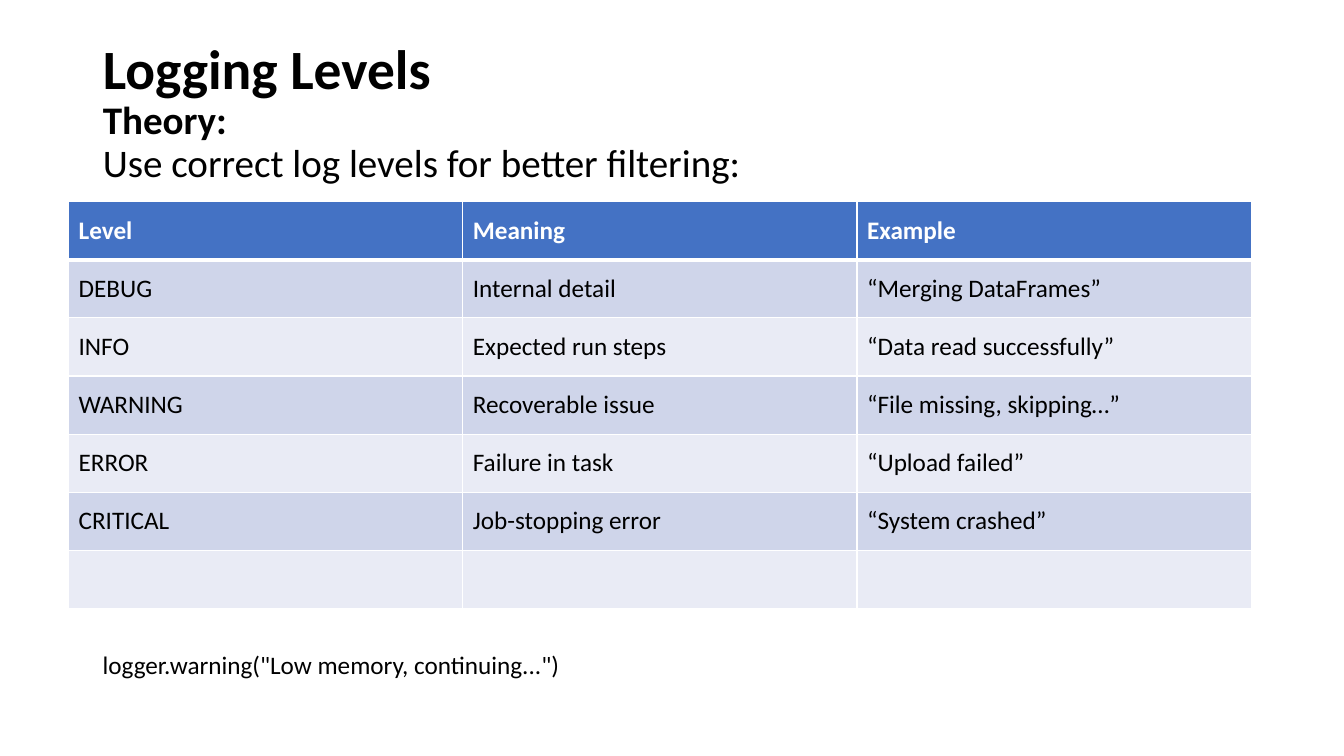
from copy import deepcopy
from dataclasses import dataclass

from lxml.etree import SubElement
from pptx import Presentation
from pptx.dml.color import RGBColor
from pptx.enum.text import MSO_ANCHOR, MSO_AUTO_SIZE, PP_ALIGN
from pptx.oxml.ns import qn
from pptx.util import Inches, Pt


@dataclass(frozen=True)
class Theme:
    """Colours, font and type sizes of the slide."""
    font: str = "Calibri"
    ink: str = "000000"
    paper: str = "FFFFFF"
    header: str = "4472C4"
    bands: tuple = ("CFD5EA", "E9EBF5")
    title_size: float = 39.6
    subtitle_size: float = 27.9
    body_size: float = 18
    rule: float = 1
    header_rule: float = 3


THEME = Theme()

TITLE_LINES = [
    ("Logging Levels", THEME.title_size, True),
    ("Theory:", THEME.subtitle_size, True),
    ("Use correct log levels for better filtering:", THEME.subtitle_size, False),
]

LEVEL_ROWS = [
    ("Level", "Meaning", "Example"),
    ("DEBUG", "Internal detail", "“Merging DataFrames”"),
    ("INFO", "Expected run steps", "“Data read successfully”"),
    ("WARNING", "Recoverable issue", "“File missing, skipping…”"),
    ("ERROR", "Failure in task", "“Upload failed”"),
    ("CRITICAL", "Job-stopping error", "“System crashed”"),
    ("", "", ""),
]


def style_font(font, size, colour, bold=False):
    """Apply the theme font with a size, colour and weight."""
    font.name = THEME.font
    font.size = Pt(size)
    font.bold = bold
    font.color.rgb = RGBColor.from_string(colour)


def fill_title(title):
    """Write the heading lines into the title placeholder."""
    title.left, title.top = Inches(0.92), Inches(0.4)
    title.width, title.height = Inches(11.5), Inches(1.45)
    frame = title.text_frame
    frame.word_wrap = True
    frame.auto_size = MSO_AUTO_SIZE.NONE
    frame.vertical_anchor = MSO_ANCHOR.MIDDLE
    para = frame.paragraphs[0]
    para.text = "\v".join(text for text, _, _ in TITLE_LINES)
    para.alignment = PP_ALIGN.LEFT
    para.line_spacing = 0.9
    for span, (_, size, bold) in zip(para.runs, TITLE_LINES):
        style_font(span.font, size, THEME.ink, bold)
    for line_break in para._p.findall(qn("a:br")):
        span_format = line_break.getprevious().find(qn("a:rPr"))
        line_break.append(deepcopy(span_format))


def set_borders(cell, top, bottom):
    """Draw the four borders of a cell in the paper colour."""
    properties = cell._tc.get_or_add_tcPr()
    widths = {"a:lnL": THEME.rule, "a:lnR": THEME.rule, "a:lnT": top, "a:lnB": bottom}
    for tag, width in widths.items():
        line = SubElement(properties, qn(tag), w=str(Pt(width)))
        fill = SubElement(line, qn("a:solidFill"))
        SubElement(fill, qn("a:srgbClr"), val=THEME.paper)


def fill_cell(cell, text, row):
    """Write and format one table cell according to its row."""
    is_header = row == 0
    set_borders(
        cell,
        top=THEME.header_rule if row == 1 else THEME.rule,
        bottom=THEME.header_rule if is_header else THEME.rule,
    )
    background = THEME.header if is_header else THEME.bands[(row - 1) % 2]
    cell.fill.solid()
    cell.fill.fore_color.rgb = RGBColor.from_string(background)
    cell.vertical_anchor = MSO_ANCHOR.MIDDLE
    cell.text = text
    for span in cell.text_frame.paragraphs[0].runs:
        style_font(span.font, THEME.body_size, THEME.paper if is_header else THEME.ink, is_header)


def add_level_table(page):
    """Add the table of logging levels."""
    table = page.shapes.add_table(
        len(LEVEL_ROWS), len(LEVEL_ROWS[0]),
        Inches(0.68), Inches(2), Inches(11.73), Inches(4.04),
    ).table
    for row, texts in enumerate(LEVEL_ROWS):
        for column, text in enumerate(texts):
            fill_cell(table.cell(row, column), text, row)


def add_code_line(page, text):
    """Add the code sample below the table."""
    box = page.shapes.add_textbox(Inches(0.92), Inches(6.39), Inches(9.09), Inches(0.71))
    frame = box.text_frame
    frame.word_wrap = True
    frame.text = text
    style_font(frame.paragraphs[0].runs[0].font, THEME.body_size, THEME.ink)


def main():
    """Build and save the logging levels slide."""
    deck = Presentation()
    deck.slide_width, deck.slide_height = Inches(13.33), Inches(7.5)
    page = deck.slides.add_slide(deck.slide_layouts.get_by_name("Title Only"))
    fill_title(page.shapes.title)
    add_level_table(page)
    add_code_line(page, 'logger.warning("Low memory, continuing...")')
    deck.save("out.pptx")


if __name__ == "__main__":
    main()
